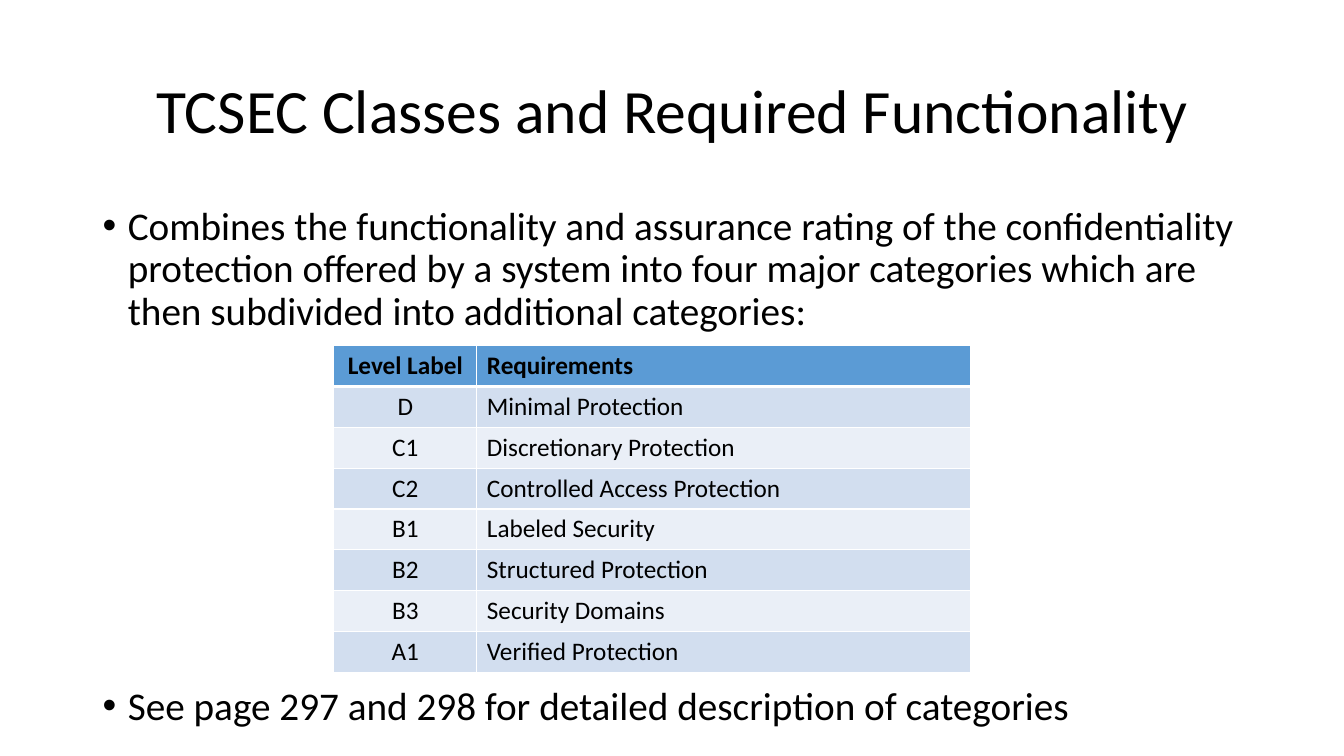
from lxml import etree
from pptx import Presentation
from pptx.dml.color import RGBColor
from pptx.enum.text import MSO_ANCHOR, PP_ALIGN
from pptx.oxml.ns import qn
from pptx.util import Inches, Pt

LEFT, CENTER = PP_ALIGN.LEFT, PP_ALIGN.CENTER
TOP, MIDDLE = MSO_ANCHOR.TOP, MSO_ANCHOR.MIDDLE
BLACK, WHITE, BLUE = "000000", "FFFFFF", "5B9BD5"
BANDS = ["D2DEEF", "EAEFF7"]


def color(value):
    return RGBColor.from_string(value)


def apply(obj, values):
    for name, value in values.items():
        setattr(obj, name, value)


class SlideBuilder:
    font = "Calibri"

    def __init__(self, slide):
        self.s = slide

    def add_text(self, p, text, size, bold=False, **fmt):
        apply(p, fmt)
        r = p.add_run()
        r.text = text
        apply(r.font, {"name": self.font, "size": Pt(size), "bold": bold})
        r.font.color.rgb = color(BLACK)

    def bullet(self, p):
        pPr = p._p.get_or_add_pPr()
        pPr.set("marL", str(Inches(0.25)))
        pPr.set("indent", str(Inches(-0.25)))
        etree.SubElement(pPr, qn("a:buFont")).set("typeface", "Arial")
        etree.SubElement(pPr, qn("a:buChar")).set("char", "•")

    def text(self, box, paragraphs, size, anchor=TOP, align=LEFT, bullets=False):
        tf = self.s.shapes.add_textbox(*map(Inches, box)).text_frame
        apply(tf, {"word_wrap": True, "vertical_anchor": anchor})
        for i, (text, before) in enumerate(paragraphs):
            p = tf.add_paragraph() if i else tf.paragraphs[0]
            self.add_text(p, text, size, alignment=align, line_spacing=0.9,
                          space_before=Pt(before))
            if bullets:
                self.bullet(p)

    def borders(self, cell, widths):
        tcPr = cell._tc.get_or_add_tcPr()
        for i, (side, width) in enumerate(widths.items()):
            ln = etree.Element(qn(f"a:ln{side}"), w=str(Pt(width)))
            fill = etree.SubElement(ln, qn("a:solidFill"))
            etree.SubElement(fill, qn("a:srgbClr")).set("val", WHITE)
            tcPr.insert(i, ln)

    def table(self, box, rows, widths, aligns, size):
        shape = self.s.shapes.add_table(len(rows), len(widths), *map(Inches, box))
        table = shape.table
        for column, width in zip(table.columns, widths):
            column.width = Inches(width)
        for i, row in enumerate(rows):
            fill = BANDS[(i - 1) % 2] if i else BLUE
            edges = {"L": 1, "R": 1, "T": 3 if i == 1 else 1, "B": 1 if i else 3}
            for j, text in enumerate(row):
                cell = table.cell(i, j)
                cell.fill.solid()
                cell.fill.fore_color.rgb = color(fill)
                self.borders(cell, edges)
                self.add_text(cell.text_frame.paragraphs[0], text, size,
                              bold=i == 0, alignment=aligns[j])


prs = Presentation()
apply(prs, {"slide_width": Inches(13.33), "slide_height": Inches(7.5)})
slide = SlideBuilder(prs.slides.add_slide(prs.slide_layouts[6]))

slide.text((0.92, 0.4, 11.5, 1.45),
           [("TCSEC Classes and Required Functionality", 0)],
           44, anchor=MIDDLE, align=CENTER)

slide.text((0.92, 2, 11.5, 5.37), [
    ("Combines the functionality and assurance rating of the confidentiality "
     "protection offered by a system into four major categories which are "
     "then subdivided into additional categories:", 10),
    ("See page 297 and 298 for detailed description of categories", 252),
], 28, bullets=True)

classes = [
    ("Level Label", "Requirements"),
    ("D", "Minimal Protection"),
    ("C1", "Discretionary Protection"),
    ("C2", "Controlled Access Protection"),
    ("B1", "Labeled Security"),
    ("B2", "Structured Protection"),
    ("B3", "Security Domains"),
    ("A1", "Verified Protection"),
]
slide.table((3.31, 3.43, 6.32, 3.24), classes, [1.42, 4.9], [CENTER, LEFT], 18)

prs.save("out.pptx")
